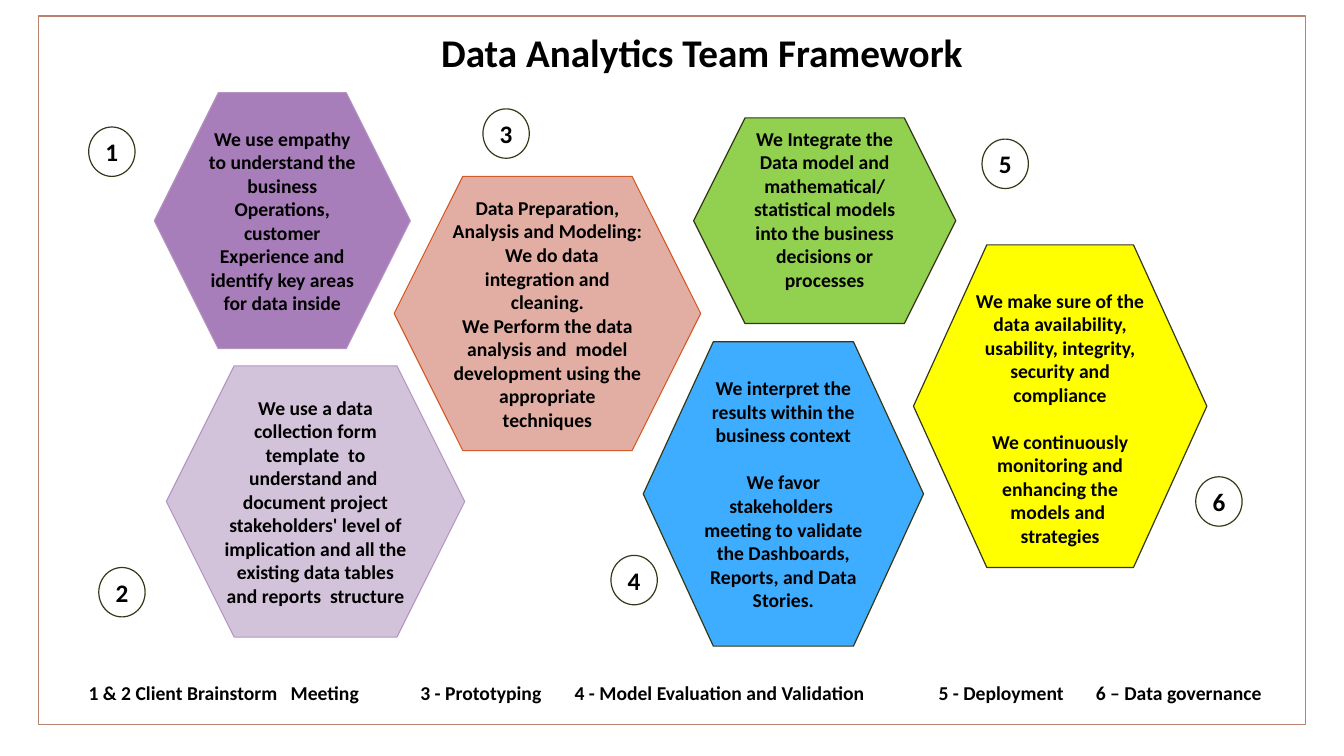
from pptx import Presentation
from pptx.dml.color import RGBColor
from pptx.enum import shapes, text
from pptx.util import Inches, Pt

BLACK = RGBColor(0, 0, 0)
WHITE = RGBColor(255, 255, 255)
BROWN = RGBColor(0xB8, 0x84, 0x70)
OLIVE = RGBColor(0x34, 0x37, 0x18)
PURPLE = RGBColor(0xA7, 0x7D, 0xBA)
MAUVE = RGBColor(0xB4, 0x95, 0xC2)
LILAC = RGBColor(0xD2, 0xC3, 0xDA)
SALMON = RGBColor(0xE2, 0xAD, 0xA3)
RUST = RGBColor(0xD1, 0x5A, 0x29)
BLUE = RGBColor(0x3F, 0xAD, 0xFF)
GREEN = RGBColor(0x92, 0xD0, 0x50)
YELLOW = RGBColor(0xFF, 0xFF, 0x00)

CENTER = text.PP_ALIGN.CENTER
MIDDLE = text.MSO_ANCHOR.MIDDLE
KIND = shapes.MSO_SHAPE
LINE = 16.8

STEPS = [
    ((1.53, 0.92, 2.54, 2.54), PURPLE, MAUVE, 0.75, (0.88, 1.26),
     [["We use empathy to understand the", "business", "Operations,", "customer",
       "Experience and identify key areas for data inside"]]),
    ((1.65, 3.63, 2.96, 2.69), LILAC, MAUVE, 0.75, (0.98, 5.63),
     [["We use a data collection form template  to understand and  document project "
       "stakeholders' level of implication and all the existing data tables and "
       "reports  structure"]]),
    ((3.91, 1.75, 3.04, 2.72), SALMON, RUST, 0.75, (4.79, 1.08),
     [["Data Preparation, Analysis and Modeling:   We do data integration and cleaning.",
       "We Perform the data analysis and  model development using the appropriate "
       "techniques"]]),
    ((6.38, 3.39, 2.78, 3.02), BLUE, OLIVE, 0.85, (6.06, 5.51),
     [["We interpret the", "results within the", "business context"],
      ["We favor stakeholders  meeting to validate the Dashboards, Reports, "
       "and Data Stories."]]),
    ((6.88, 1.17, 2.6, 2.04), GREEN, OLIVE, 0.85, (9.74, 1.38),
     [["We Integrate the", "Data model and mathematical/", "statistical models",
       "into the business", "decisions or", "processes"]]),
    ((9.06, 2.43, 2.91, 3.2), YELLOW, OLIVE, 0.85, (11.86, 4.73),
     [["We make sure of the data availability, usability, integrity, security and "
       "compliance"],
      ["We continuously monitoring and enhancing the models and  strategies"]]),
]

PHASES = [
    (0.78, 3.43, "1 & 2 Client Brainstorm   Meeting"),
    (4.07, 1.65, "3 - Prototyping"),
    (5.6, 3.59, "4 - Model Evaluation and Validation"),
    (9.21, 1.81, "5 - Deployment"),
    (10.77, 2.27, "6 – Data governance"),
]


def style(frame, size, align):
    frame.word_wrap = True
    for para in frame.paragraphs:
        para.alignment = align
        for run in para.runs:
            font = run.font
            font.name, font.size, font.bold = "Calibri", Pt(size), True
            font.color.rgb = BLACK


def draw(slide, kind, box, fill, edge, width):
    shape = slide.shapes.add_shape(kind, *map(Inches, box))
    shape.shadow.inherit = False
    shape.fill.solid()
    shape.fill.fore_color.rgb = fill
    shape.line.color.rgb = edge
    shape.line.width = Pt(width)
    shape.text_frame.vertical_anchor = MIDDLE
    return shape


def add_title(slide, box):
    title = slide.shapes.title
    title.left, title.top, title.width, title.height = map(Inches, box)
    frame = title.text_frame
    frame.text = "Data Analytics Team Framework"
    frame.vertical_anchor = text.MSO_ANCHOR.TOP
    frame.auto_size = text.MSO_AUTO_SIZE.NONE
    style(frame, 28, CENTER)
    return title


def add_step(slide, box, fill, edge, width, groups):
    frame = draw(slide, KIND.HEXAGON, box, fill, edge, width).text_frame
    frame.text = "\n".join(line for group in groups for line in group)
    if len(groups) > 1:
        frame.paragraphs[len(groups[0])].space_before = Pt(LINE)
    style(frame, 14, CENTER)
    return frame


def add_badge(slide, spot, num):
    frame = draw(slide, KIND.OVAL, (*spot, 0.46, 0.49), WHITE, OLIVE, 0.85).text_frame
    frame.text = str(num)
    style(frame, 18, CENTER)


def add_legend(slide, top, height):
    for left, width, label in PHASES:
        box = slide.shapes.add_textbox(*map(Inches, (left, top, width, height)))
        box.text_frame.text = label
        style(box.text_frame, 14, text.PP_ALIGN.LEFT)


def main():
    deck = Presentation()
    deck.slide_width, deck.slide_height = Inches(13.33), Inches(7.5)
    slide = deck.slides.add_slide(deck.slide_layouts[5])
    title = add_title(slide, (1.72, 0.23, 10.48, 0.57))
    border = draw(slide, KIND.RECTANGLE, (0.38, 0.16, 12.57, 7.03), WHITE, BROWN, 0.85)
    title.element.addprevious(border.element)
    frames = []
    for num, (box, fill, edge, width, spot, groups) in enumerate(STEPS, 1):
        frames.append(add_step(slide, box, fill, edge, width, groups))
        add_badge(slide, spot, num)
    frames[4].margin_bottom = frames[5].margin_top = Inches(0.05) + Pt(LINE)
    add_legend(slide, 6.71, 0.34)
    deck.save("out.pptx")


if __name__ == "__main__":
    main()
